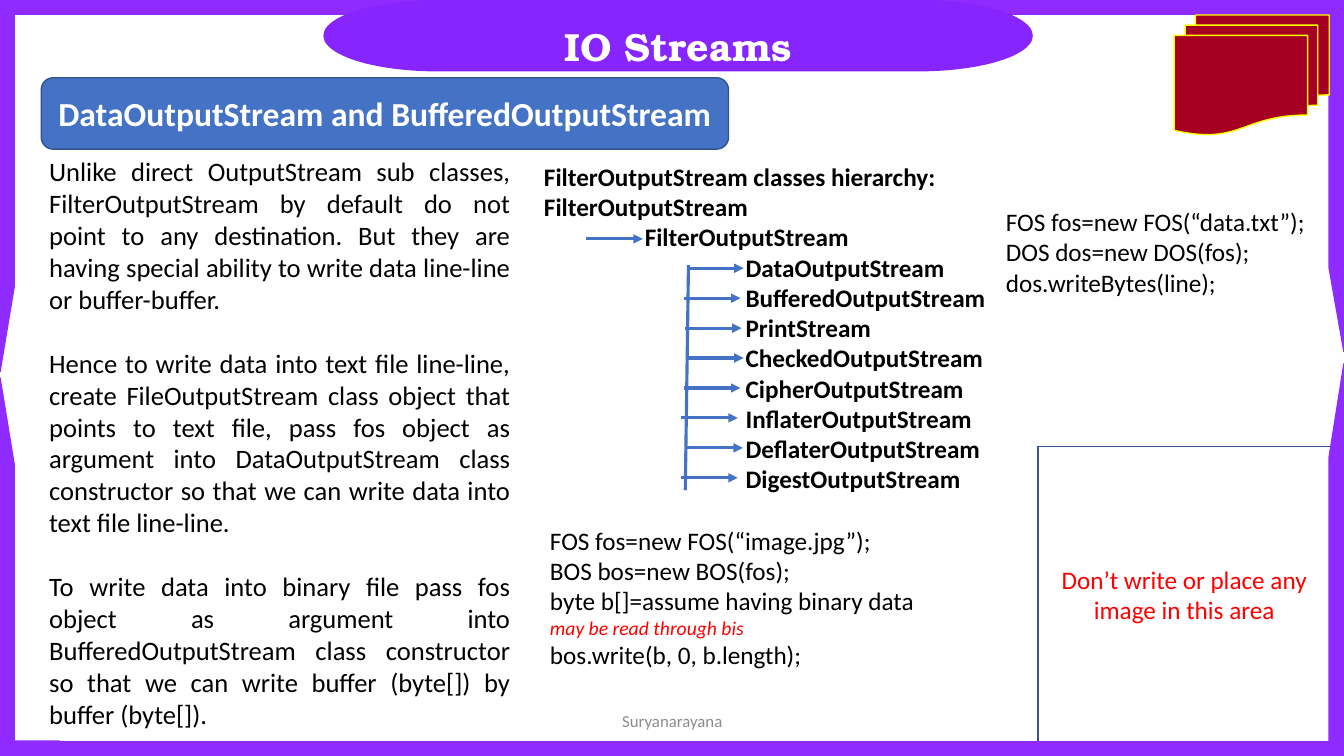
from lxml.etree import SubElement
from pptx import Presentation
from pptx.dml.color import RGBColor
from pptx.enum.shapes import MSO_CONNECTOR, MSO_SHAPE
from pptx.enum.text import MSO_ANCHOR, PP_ALIGN
from pptx.oxml.ns import qn
from pptx.util import Cm, Pt

COLORS = {
    "frame": "902BFF", "banner": "8725FE", "white": "FFFFFF",
    "black": "000000", "red": "FF0000", "books": "A50021",
    "yellow": "FFFF00", "blue": "4472C4", "navy": "325491", "gray": "8C8C8C",
}
WIDTH, HEIGHT = 33.87, 19.05


def rgb(name):
    return RGBColor.from_string(COLORS[name])


def add_block(slide, kind, box, fill, line=None):
    s = slide.shapes.add_shape(kind, *[Cm(v) for v in box])
    s.shadow.inherit = False
    s.fill.solid()
    s.fill.fore_color.rgb = rgb(fill)
    if line:
        s.line.color.rgb = rgb(line)
        s.line.width = Pt(1)
    else:
        s.line.fill.background()
    return s


def set_text(s, lines, size, color, font="Calibri", bold=False,
             align=PP_ALIGN.LEFT, anchor=MSO_ANCHOR.TOP, wrap=True):
    tf = s.text_frame
    tf.text = "\n".join(lines)
    tf.word_wrap = wrap
    tf.vertical_anchor = anchor
    for p in tf.paragraphs:
        p.alignment = align
        for r in p.runs:
            r.font.size = Pt(size)
            r.font.name = font
            r.font.bold = bold
            r.font.color.rgb = rgb(color)
    return tf


def add_text(slide, box, lines, size, color, **style):
    s = slide.shapes.add_textbox(*[Cm(v) for v in box])
    return set_text(s, lines, size, color, **style)


def add_line(slide, x1, y1, x2, y2, arrow=True):
    s = slide.shapes.add_connector(
        MSO_CONNECTOR.STRAIGHT, Cm(x1), Cm(y1), Cm(x2), Cm(y2))
    s.line.color.rgb = rgb("blue")
    s.line.width = Pt(2.25)
    if arrow:
        SubElement(s.line._get_or_add_ln(), qn("a:tailEnd"), type="triangle")
    SubElement(s._element.spPr, qn("a:effectLst"))


def add_frame(slide, left, top, width, height):
    arm, bar = 1.57, 0.35
    right, bottom = left + width, top + height
    corners = [
        (False, False, 9.37, 0.218, 0.228),
        (True, False, 8.86, 0.228, 0.239),
        (False, True, 9.53, 0.239, 0.228),
        (True, True, 9.88, 0.228, 0.239),
    ]
    for flip_h, flip_v, length, adj1, adj2 in corners:
        x = right - arm if flip_h else left
        y = bottom - length if flip_v else top
        s = add_block(slide, MSO_SHAPE.HALF_FRAME, (x, y, arm, length),
                      "frame", "frame")
        s.adjustments[0], s.adjustments[1] = adj1, adj2
        xfrm = s._element.spPr.xfrm
        xfrm.set("flipH", str(int(flip_h)))
        xfrm.set("flipV", str(int(flip_v)))
    for y in (top, bottom - bar):
        add_block(slide, MSO_SHAPE.RECTANGLE, (left, y, width, bar),
                  "frame", "frame")


def add_banner(slide, left, top, width, height):
    add_block(slide, MSO_SHAPE.FLOWCHART_TERMINATOR,
              (left, top, width, height), "banner")
    add_text(slide, (left + 0.28, top + 0.43, width - 0.56, 1.45),
             ["IO Streams"], 28, "white", font="TeX Gyre Bonum", bold=True,
             align=PP_ALIGN.CENTER)


def add_heading(slide, *box):
    s = add_block(slide, MSO_SHAPE.ROUNDED_RECTANGLE, box, "blue", "navy")
    set_text(s, ["DataOutputStream and BufferedOutputStream"], 24, "white",
             bold=True, align=PP_ALIGN.CENTER, anchor=MSO_ANCHOR.MIDDLE)


def add_reserved_area(slide, *box):
    s = add_block(slide, MSO_SHAPE.RECTANGLE, box, "white", "navy")
    set_text(s, ["Don’t write or place any image in this area"], 18, "red",
             align=PP_ALIGN.CENTER, anchor=MSO_ANCHOR.MIDDLE)


def add_explanation(slide, *box):
    tf = add_text(slide, box, [
        "Unlike direct OutputStream sub classes, FilterOutputStream by default "
        "do not point to any destination. But they are having special ability "
        "to write data line-line or buffer-buffer.",
        "Hence to write data into text file line-line, create FileOutputStream "
        "class object that points to text file, pass fos object as argument "
        "into DataOutputStream class constructor so that we can write data "
        "into text file line-line.",
        "To write data into binary file pass fos object as argument into "
        "BufferedOutputStream class constructor so that we can write buffer "
        "(byte[]) by buffer (byte[]).",
    ], 19, "black", align=PP_ALIGN.JUSTIFY)
    for p in tf.paragraphs[1:]:
        p.space_before = Pt(23)


def add_hierarchy(slide, left, top, width, height):
    subclasses = [kind + "OutputStream" for kind in ("Data", "Buffered")]
    subclasses.append("PrintStream")
    subclasses += [kind + "OutputStream" for kind in (
        "Checked", "Cipher", "Inflater", "Deflater", "Digest")]
    lines = ["FilterOutputStream classes hierarchy:", "FilterOutputStream",
             "FilterOutputStream"] + subclasses
    tf = add_text(slide, (left, top, width, height), lines, 18, "black",
                  bold=True)
    for i, p in enumerate(tf.paragraphs[2:]):
        p._p.get_or_add_pPr().set("marL", str(Cm(2.54 * min(i + 1, 2))))

    arrow = 1.42
    add_line(slide, left + 1.32, top + 2.08, left + 1.32 + arrow, top + 2.08)
    add_line(slide, left + 3.89, top + 2.74, left + 3.81, top + 8.41,
             arrow=False)
    starts = [3.86, 3.78, 3.81, 3.86, 3.78, 3.71, 3.84, 3.71]
    pitch = (8.1 - 2.82) / (len(starts) - 1)
    for i, start in enumerate(starts):
        x, y = left + start, top + 2.82 + i * pitch
        add_line(slide, x, y, x + arrow, y)


def add_text_file_code(slide, *box):
    add_text(slide, box, [
        "FOS fos=new FOS(“data.txt”);",
        "DOS dos=new DOS(fos);",
        "dos.writeBytes(line);",
    ], 18, "black", wrap=False)


def add_image_file_code(slide, *box):
    tf = add_text(slide, box, [
        "FOS fos=new FOS(“image.jpg”);",
        "BOS bos=new BOS(fos);",
        "byte b[]=assume having binary data",
        "may be read through bis",
        "bos.write(b, 0, b.length);",
    ], 18, "black")
    r = tf.paragraphs[3].runs[0]
    r.font.size = Pt(14)
    r.font.italic = True
    r.font.color.rgb = rgb("red")


def add_footer(slide, *box):
    add_text(slide, box, ["Suryanarayana"], 12, "gray",
             align=PP_ALIGN.CENTER, anchor=MSO_ANCHOR.MIDDLE)


def main():
    prs = Presentation()
    prs.slide_width, prs.slide_height = Cm(WIDTH), Cm(HEIGHT)
    slide = prs.slides.add_slide(prs.slide_layouts[6])
    add_reserved_area(slide, 26.16, 11.25, 7.37, 7.44)
    add_frame(slide, 0, 0, WIDTH, HEIGHT)
    add_banner(slide, 8.15, 0, 17.88, 1.8)
    add_block(slide, MSO_SHAPE.FLOWCHART_MULTIDOCUMENT,
              (29.59, 0.38, 3.91, 3.02), "books", "yellow")
    add_explanation(slide, 0.99, 3.78, 12.12, 14.88)
    add_heading(slide, 1.04, 1.96, 17.32, 1.8)
    add_hierarchy(slide, 13.46, 3.94, 16.69, 8.71)
    add_text_file_code(slide, 25.1, 5.08, 8.13, 2.57)
    add_image_file_code(slide, 13.61, 13.11, 12.52, 3.94)
    add_footer(slide, 11.23, 17.65, 11.43, 1.02)
    prs.save("out.pptx")


if __name__ == "__main__":
    main()
